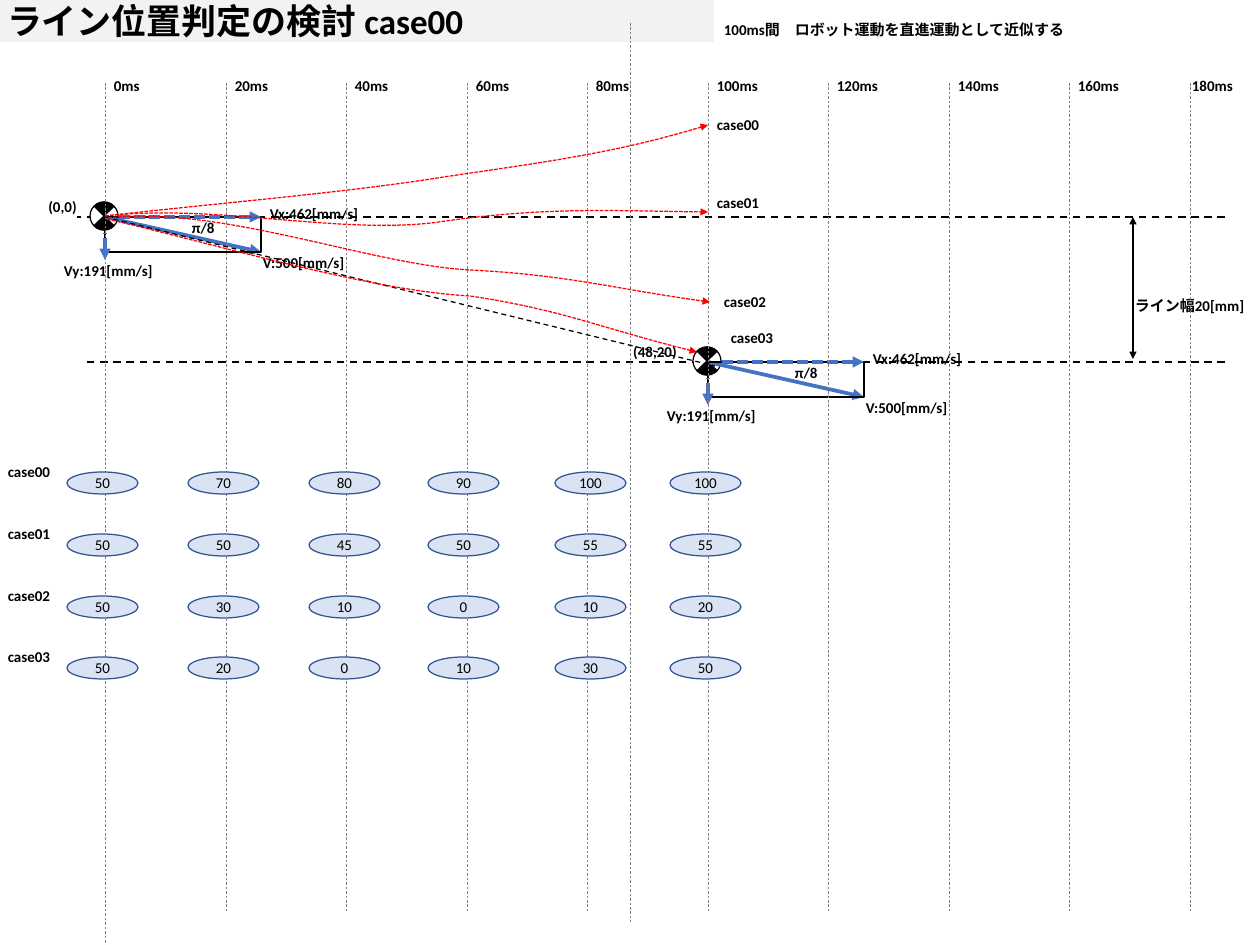
from pptx import Presentation
from pptx.dml.color import RGBColor
from pptx.enum.dml import MSO_LINE as DASH
from pptx.enum.shapes import MSO_CONNECTOR, MSO_SHAPE as SHAPE
from pptx.enum.text import MSO_ANCHOR as ANCHOR, MSO_AUTO_SIZE as AUTO, PP_ALIGN as ALIGN
from pptx.oxml.xmlchemy import OxmlElement
from pptx.util import Pt

PX = 10160
BLACK, WHITE, GRAY, BLUE, RED = "000000", "FFFFFF", "808080", "4472C4", "FF0000"
FRAME = dict(word_wrap=True, auto_size=AUTO.NONE, vertical_anchor=ANCHOR.MIDDLE)
LABEL_H = 35
TICKS = [round(105 + i * 1085 / 9) for i in range(10)]
BUBBLES = [67, 188, 309, 428, 555, 670]
CASES = {
    "case00": [50, 70, 80, 90, 100, 100],
    "case01": [50, 50, 45, 50, 55, 55],
    "case02": [50, 30, 10, 0, 10, 20],
    "case03": [50, 20, 0, 10, 30, 50],
}
PATHS = [
    [(105, 216), (219, 203), (344, 193), (444, 177), (545, 162), (617, 153), (708, 125)],
    [(105, 216), (219, 203), (346, 237), (446, 221), (546, 207), (615, 211), (708, 212)],
    [(108, 218), (221, 205), (371, 265), (470, 270), (568, 275), (614, 289), (710, 302)],
    [(107, 219), (219, 245), (372, 291), (470, 296), (563, 310), (599, 328), (697, 352)],
]
PATH_LABELS = [(708, 111), (708, 189), (715, 288), (722, 324)]


def emu(*lengths):
    return [n * PX for n in lengths]


def rgb(value):
    return RGBColor.from_string(value)


def write(sp, text, size=12, bold=True, align=ALIGN.LEFT):
    tf = sp.text_frame
    for key, value in FRAME.items():
        setattr(tf, key, value)
    p = tf.paragraphs[0]
    p.alignment = align
    r = p.add_run()
    r.text = text
    for key, value in dict(name="Calibri", size=Pt(size), bold=bold).items():
        setattr(r.font, key, value)
    r.font.color.rgb = rgb(BLACK)


def label(shapes, text, x, y, w, h=LABEL_H, align=ALIGN.LEFT):
    write(shapes.add_textbox(*emu(x, y, w, h)), text, align=align)


def stroke(sp, color, width, dash=None, ends=()):
    sp.line.color.rgb = rgb(color)
    sp.line.width = Pt(width)
    if dash:
        sp.line.dash_style = dash
    for end in ends:
        el = OxmlElement(f"a:{end}End")
        el.set("type", "triangle")
        sp.line._get_or_add_ln().append(el)


def line(shapes, x1, y1, x2, y2, color, width, dash=None, ends=()):
    c = shapes.add_connector(MSO_CONNECTOR.STRAIGHT, *emu(x1, y1, x2, y2))
    stroke(c, color, width, dash, ends)
    c._element.spPr.append(OxmlElement("a:effectLst"))


def shape(shapes, kind, box, fill=None, color=BLACK):
    sp = shapes.add_shape(kind, *emu(*box))
    sp.shadow.inherit = False
    if fill:
        sp.fill.solid()
        sp.fill.fore_color.rgb = rgb(fill)
    else:
        sp.fill.background()
    stroke(sp, color, 1)
    return sp


def curve(shapes, points):
    builder = shapes.build_freeform(*points[0], scale=PX)
    builder.add_line_segments(points[1:], close=False)
    sp = builder.convert_to_shape()
    segments = sp._element.xpath(".//a:lnTo")
    for i in range(0, len(segments), 3):
        bezier = OxmlElement("a:cubicBezTo")
        segments[i].addprevious(bezier)
        for segment in segments[i:i + 3]:
            bezier.append(segment[0])
            segment.getparent().remove(segment)
    sp.shadow.inherit = False
    sp.fill.background()
    stroke(sp, RED, 1, DASH.SQUARE_DOT, ["tail"])


def robot(slide, x, y, position, position_w):
    shapes = slide.shapes.add_group_shape().shapes
    for rotation, sweep, fill in [(45, 215.828, WHITE), (45, 54.362, BLACK), (225, 54.362, BLACK)]:
        sp = shape(shapes, SHAPE.PIE, (x - 15, y - 15, 28, 28), fill)
        sp.rotation = rotation
        sp.adjustments[0] = 0
        sp.adjustments[1] = sweep
    line(shapes, x + 156, y + 35, x, y, BLUE, 3, ends=["head"])
    shape(shapes, SHAPE.RECTANGLE, (x, y, 156, 35))
    line(shapes, x + 156, y, x + 14, y, BLUE, 3, DASH.SQUARE_DOT, ["head"])
    label(shapes, "π/8", x + 78, y - 7, 57)
    label(shapes, "V:500[mm/s]", x + 149, y + 28, 106)
    label(shapes, "Vx:462[mm/s]", x + 156, y - 21, 121)
    label(shapes, position, x - 14 - position_w, y - 28, position_w, align=ALIGN.CENTER)
    line(shapes, x, y + 43, x, y + 16, BLUE, 3, DASH.SQUARE_DOT, ["head"])
    label(shapes, "Vy:191[mm/s]", x - 50, y + 36, 121)


def title(slide, text):
    sp = slide.shapes.title
    sp.left, sp.top, sp.width, sp.height = emu(-2, 0, 716, 42)
    sp.fill.solid()
    sp.fill.fore_color.rgb = rgb("F2F2F2")
    write(sp, text, size=28)


def time_axis(slide):
    guides = slide.shapes.add_group_shape().shapes
    for i, x in enumerate(TICKS):
        line(guides, x, 83, x, 912 if i else 945, GRAY, 0.5, DASH.DASH)
        label(slide.shapes, f"{i * 20}ms", min(x, 1183), 68, 64)


def case_rows(slide):
    for i, (name, values) in enumerate(CASES.items()):
        y = round(472.5 + i * 61.5)
        for x, value in zip(BUBBLES, values):
            sp = shape(slide.shapes, SHAPE.OVAL, (x, y, 71, 22), "DAE3F3", "325491")
            write(sp, str(value), bold=False, align=ALIGN.CENTER)
        label(slide.shapes, name, -1, y - 14, 71, 28)


def main():
    prs = Presentation()
    prs.slide_width, prs.slide_height = emu(1260, 945)
    slide = prs.slides.add_slide(prs.slide_layouts[5])
    shapes = slide.shapes

    title(slide, "ライン位置判定の検討 case00")
    line(shapes, 1225, 217, 77, 217, BLACK, 1.5, DASH.DASH)
    line(shapes, 1225, 362, 86, 362, BLACK, 1.5, DASH.DASH)
    line(shapes, 1133, 217, 1133, 359, BLACK, 1.5, ends=["head", "tail"])
    label(shapes, "ライン幅20[mm]", 1126, 288, 156)
    line(shapes, 630, 23, 630, 922, GRAY, 0.5, DASH.DASH)

    robot(slide, 105, 217, "(0,0)", 57)
    robot(slide, 708, 362, "(48,20)", 78)
    time_axis(slide)

    line(shapes, 105, 217, 715, 366, BLACK, 1, DASH.DASH)
    for points in PATHS:
        curve(shapes, points)
    for name, (x, y) in zip(CASES, PATH_LABELS):
        label(shapes, name, x, y, 71, 28)
    label(shapes, "100ms間　ロボット運動を直進運動として近似する", 715, 12, 368)
    case_rows(slide)
    prs.save("out.pptx")


if __name__ == "__main__":
    main()
